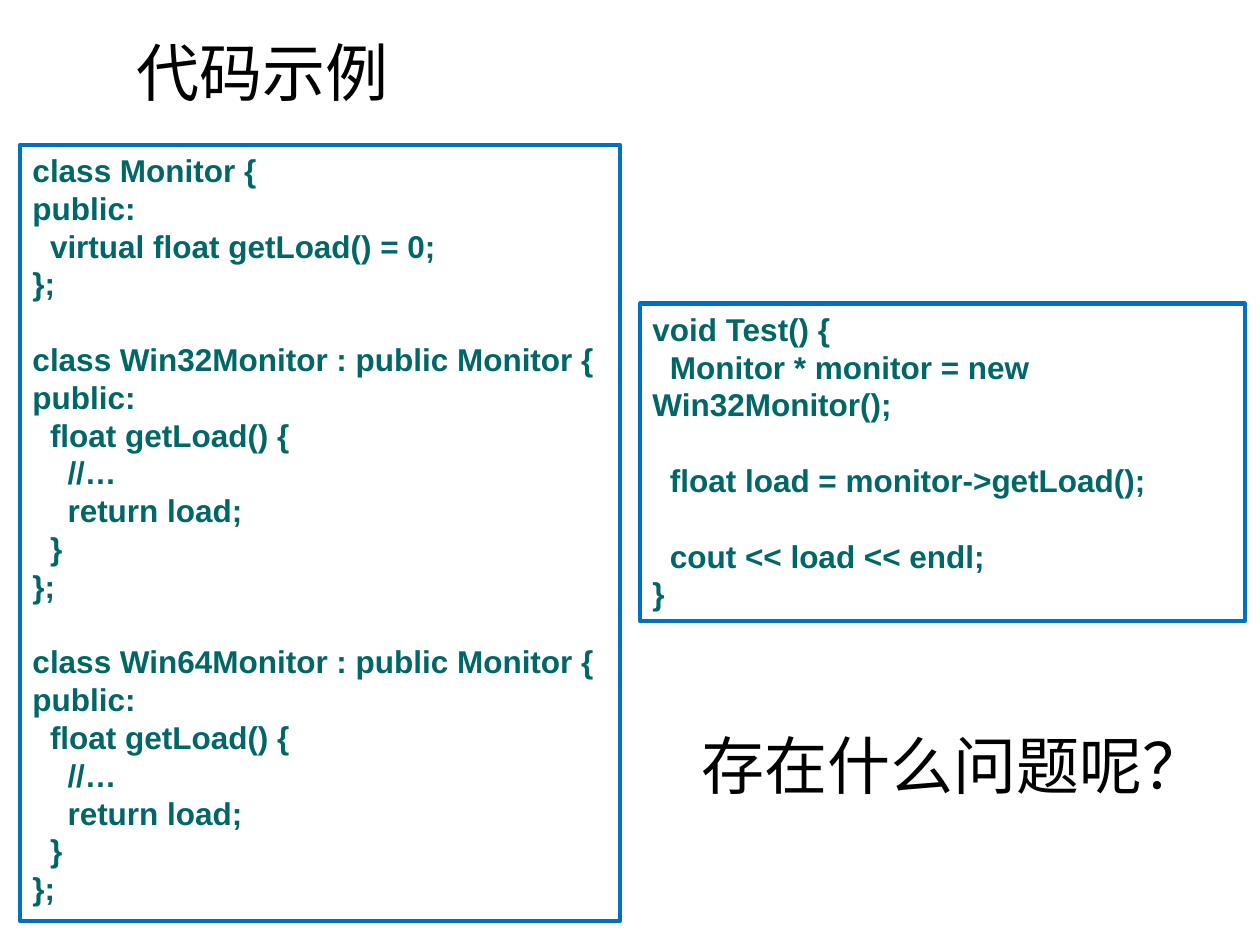
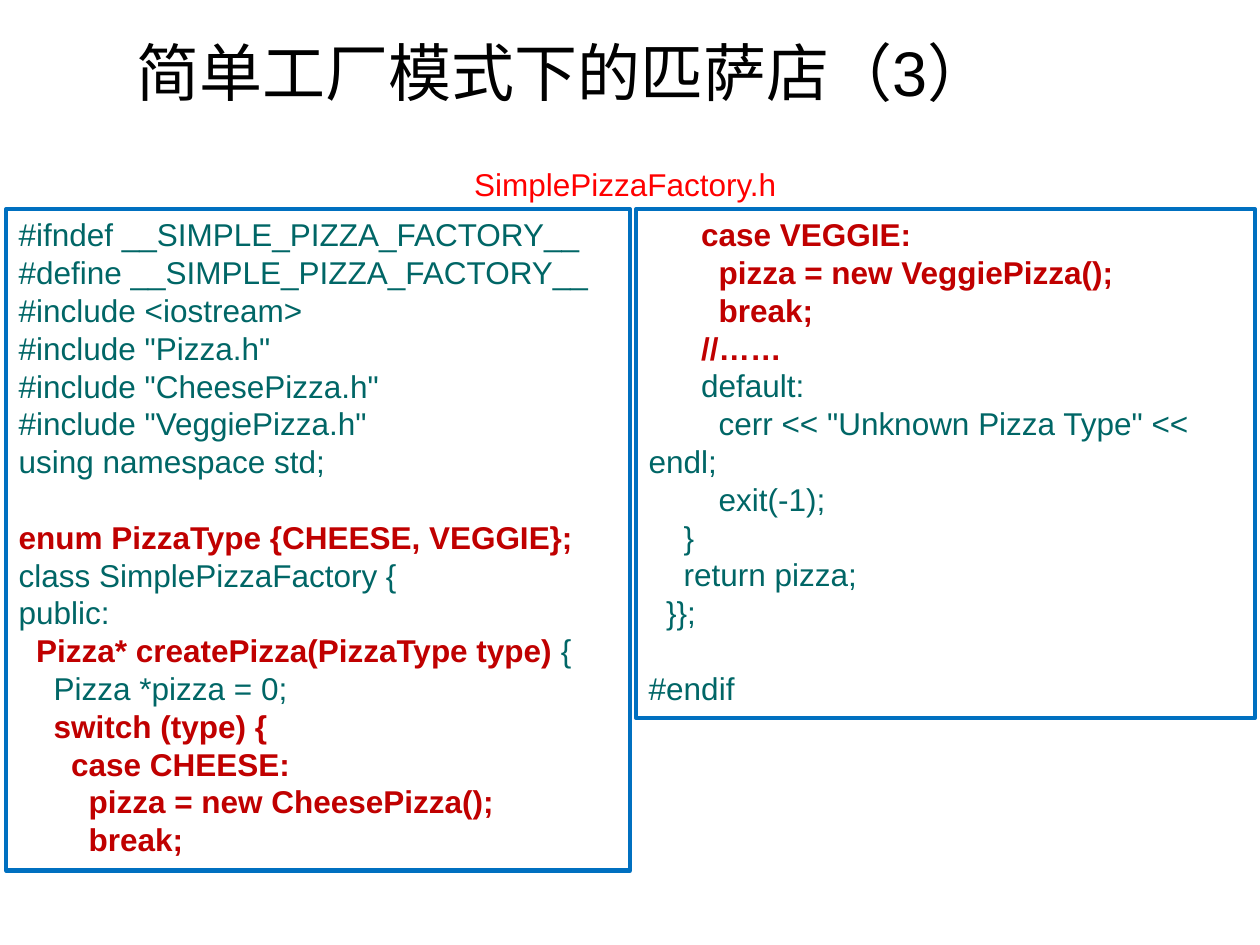
from dataclasses import dataclass
from typing import Any

from pptx import Presentation
from pptx import util as u
from pptx.dml.color import RGBColor
from pptx.enum import lang, shapes, text

BLACK = RGBColor(0x00, 0x00, 0x00)
TEAL = RGBColor(0x00, 0x66, 0x66)
DARK_RED = RGBColor(0xC0, 0x00, 0x00)
RED = RGBColor(0xFF, 0x00, 0x00)
BLUE = RGBColor(0x00, 0x70, 0xC0)

LINE_PITCH = u.Pt(21.6)
SPACE_WIDTH = u.Pt(5)
HOT_START, HOT_END = "«", "»"

HEADING: dict[str, Any] = {
    "name": "Arial", "size": u.Pt(36), "bold": False,
    "language_id": lang.MSO_LANGUAGE_ID.SIMPLIFIED_CHINESE,
}
CODE: dict[str, Any] = {"name": "Arial", "size": u.Pt(18), "bold": False}
HOT: dict[str, Any] = {**CODE, "bold": True}


@dataclass(frozen=True)
class Box:
    left: float
    top: float
    width: float
    height: float

    def lengths(self) -> list[u.Length]:
        return [u.Inches(v) for v in (self.left, self.top, self.width, self.height)]


@dataclass(frozen=True)
class CodePanel:
    box: Box
    code: str
    bold: bool = False


@dataclass(frozen=True)
class Label:
    box: Box
    words: str
    font: dict[str, Any]
    color: RGBColor
    align: text.PP_ALIGN = text.PP_ALIGN.LEFT


@dataclass(frozen=True)
class CodeSlide:
    title: str
    panels: list[CodePanel]
    label: Label


TITLE_BOX = Box(0.98, 0.13, 9.29, 0.87)

MONITOR_CLASSES = """
class Monitor {
public:
  virtual float getLoad() = 0;
};
""" + "".join(f"""
class {name} : public Monitor {{
public:
  float getLoad() {{
    //…
    return load;
  }}
}};
""" for name in ("Win32Monitor", "Win64Monitor"))

MONITOR_TEST = """
void Test() {
  Monitor * monitor = new Win32Monitor();

  float load = monitor->getLoad();

  cout << load << endl;
}
"""

FACTORY_START = """
#ifndef __SIMPLE_PIZZA_FACTORY__
#define __SIMPLE_PIZZA_FACTORY__
#include <iostream>
#include "Pizza.h"
#include "CheesePizza.h"
#include "VeggiePizza.h"
using namespace std;

«enum PizzaType {CHEESE, VEGGIE};»
class SimplePizzaFactory {
public:
  «Pizza* createPizza(PizzaType type) »{
    Pizza *pizza = 0;
    «switch (type) {»
      «case CHEESE:»
        «pizza = new CheesePizza();»
        «break;»
"""

FACTORY_END = """
      «case VEGGIE:»
        «pizza = new VeggiePizza();»
        «break;»
      «//……»
      default:
        cerr << "Unknown Pizza Type" << endl;
        exit(-1);
    }
    return pizza;
  }};

#endif
"""

SLIDES = [
    CodeSlide(
        "代码示例",
        [
            CodePanel(Box(0.16, 1.15, 4.76, 6.16), MONITOR_CLASSES, bold=True),
            CodePanel(Box(5.08, 2.41, 4.8, 2.52), MONITOR_TEST, bold=True),
        ],
        Label(Box(5.47, 5.72, 4.25, 0.71), "存在什么问题呢？", HEADING, BLACK),
    ),
    CodeSlide(
        "简单工厂模式下的匹萨店（3）",
        [
            CodePanel(Box(0.05, 1.66, 4.95, 5.25), FACTORY_START),
            CodePanel(Box(5.05, 1.66, 4.91, 4.04), FACTORY_END),
        ],
        Label(Box(3.58, 1.26, 2.68, 0.4), "SimplePizzaFactory.h", CODE, RED,
              text.PP_ALIGN.RIGHT),
    ),
]


def add_run(p, words: str, font: dict[str, Any], color: RGBColor) -> None:
    r = p.add_run()
    r.text = words
    for key, value in font.items():
        setattr(r.font, key, value)
    r.font.color.rgb = color


def write_label(sp, label: Label, anchor: text.MSO_ANCHOR) -> None:
    sp.left, sp.top, sp.width, sp.height = label.box.lengths()
    tf = sp.text_frame
    for key, value in {"word_wrap": True, "auto_size": text.MSO_AUTO_SIZE.NONE,
                       "vertical_anchor": anchor}.items():
        setattr(tf, key, value)
    p = tf.paragraphs[0]
    p.alignment = label.align
    add_run(p, label.words, label.font, label.color)


def write_code(tf, panel: CodePanel) -> None:
    p = tf.paragraphs[0]
    started = after_gap = False
    for line in panel.code.strip("\n").split("\n"):
        words = line.lstrip()
        if not words:
            after_gap = True
            continue
        if started:
            p = tf.add_paragraph()
        p.alignment = text.PP_ALIGN.LEFT
        p.line_spacing = LINE_PITCH
        p.space_before = LINE_PITCH if after_gap else u.Pt(0)
        pPr = p._p.get_or_add_pPr()
        pPr.set("marL", "0")
        pPr.set("indent", str(SPACE_WIDTH * (len(line) - len(words))))
        plain, _, rest = words.partition(HOT_START)
        hot, _, tail = rest.partition(HOT_END)
        base = HOT if panel.bold else CODE
        for part, font, color in ((plain, base, TEAL), (hot, HOT, DARK_RED),
                                  (tail, base, TEAL)):
            if part:
                add_run(p, part, font, color)
        started, after_gap = True, False


def add_panel(s, panel: CodePanel) -> None:
    sp = s.shapes.add_shape(shapes.MSO_SHAPE.RECTANGLE, *panel.box.lengths())
    sp.shadow.inherit = False
    sp.fill.background()
    sp.line.color.rgb = BLUE
    sp.line.width = u.Pt(2.5)
    tf = sp.text_frame
    tf.word_wrap = True
    tf.vertical_anchor = text.MSO_ANCHOR.TOP
    write_code(tf, panel)


def add_code_slide(prs, content: CodeSlide) -> None:
    s = prs.slides.add_slide(prs.slide_layouts[5])
    title = Label(TITLE_BOX, content.title, HEADING, BLACK)
    write_label(s.shapes.title, title, text.MSO_ANCHOR.MIDDLE)
    for panel in content.panels:
        add_panel(s, panel)
    sp = s.shapes.add_textbox(*content.label.box.lengths())
    write_label(sp, content.label, text.MSO_ANCHOR.TOP)


def main() -> None:
    prs = Presentation()
    prs.slide_width, prs.slide_height = u.Inches(10), u.Inches(7.5)
    for content in SLIDES:
        add_code_slide(prs, content)
    prs.save("out.pptx")


if __name__ == "__main__":
    main()
